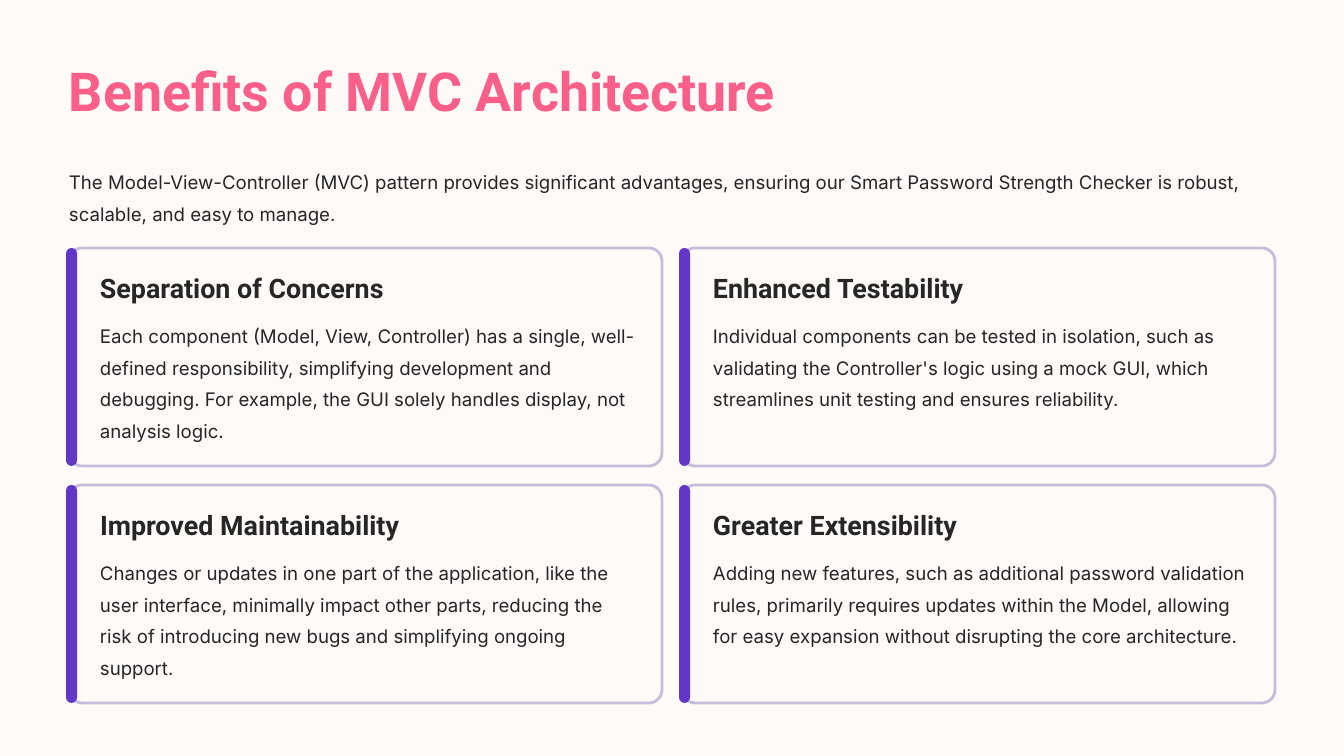
"""Build the slide on the benefits of MVC architecture."""
import pptx
import pptx.dml.color
import pptx.enum.shapes
import pptx.enum.text
import pptx.util

PX = 914400 / 84
CREAM = pptx.dml.color.RGBColor(0xFD, 0xFA, 0xF7)
PINK = pptx.dml.color.RGBColor(0xF9, 0x5F, 0x88)
INK = pptx.dml.color.RGBColor(0x27, 0x25, 0x25)
LILAC = pptx.dml.color.RGBColor(0xC6, 0xBD, 0xDA)
PURPLE = pptx.dml.color.RGBColor(0x62, 0x37, 0xC8)

CARD_LEFT, CARD_TOP = 69, 248
CARD_WIDTH, CARD_HEIGHT = 593, 218
COLUMN_STEP, ROW_STEP = 613, 237

INTRO = (
    "The Model-View-Controller (MVC) pattern provides significant advantages, "
    "ensuring our Smart Password Strength Checker is robust, scalable, and easy to manage."
)
BENEFITS = [
    ("Separation of Concerns", 304,
     "Each component (Model, View, Controller) has a single, well-defined responsibility, "
     "simplifying development and debugging. For example, the GUI solely handles display, "
     "not analysis logic."),
    ("Enhanced Testability", 268,
     "Individual components can be tested in isolation, such as validating the Controller's "
     "logic using a mock GUI, which streamlines unit testing and ensures reliability."),
    ("Improved Maintainability", 316,
     "Changes or updates in one part of the application, like the user interface, minimally "
     "impact other parts, reducing the risk of introducing new bugs and simplifying ongoing "
     "support."),
    ("Greater Extensibility", 262,
     "Adding new features, such as additional password validation rules, primarily requires "
     "updates within the Model, allowing for easy expansion without disrupting the core "
     "architecture."),
]


def px(*lengths):
    """Turn pixel lengths into EMU."""
    return [pptx.util.Emu(round(length * PX)) for length in lengths]


def write(frame, text, *, size=16, spacing=27, font="Inter", color=INK, bold=False, wrap=True):
    """Put one formatted paragraph into a text frame."""
    frame.margin_left = frame.margin_top = frame.margin_right = frame.margin_bottom = 0
    frame.auto_size = pptx.enum.text.MSO_AUTO_SIZE.NONE
    frame.vertical_anchor = pptx.enum.text.MSO_ANCHOR.TOP
    frame.word_wrap = wrap
    paragraph = frame.paragraphs[0]
    paragraph.alignment = pptx.enum.text.PP_ALIGN.LEFT
    paragraph.line_spacing = pptx.util.Pt(spacing)
    run = paragraph.add_run()
    run.text = text
    run.font.name = font
    run.font.size = pptx.util.Pt(size)
    run.font.bold = bold
    run.font.color.rgb = color


def add_text(slide, box, text, **style):
    """Add a text box at a pixel box."""
    write(slide.shapes.add_textbox(*px(*box)).text_frame, text, **style)


def add_panel(slide, box, rounding, fill, border=None):
    """Add a rounded rectangle with an optional border."""
    rounded = pptx.enum.shapes.MSO_SHAPE.ROUNDED_RECTANGLE
    panel = slide.shapes.add_shape(rounded, *px(*box))
    panel.shadow.inherit = False
    panel.adjustments[0] = rounding
    panel.fill.solid()
    panel.fill.fore_color.rgb = fill
    if border is None:
        panel.line.fill.background()
    else:
        panel.line.color.rgb = border
        panel.line.width = pptx.util.Pt(2.4)


def add_title(slide, text):
    """Place and fill the title placeholder."""
    title = slide.shapes.title
    title.left, title.top, title.width, title.height = px(69, 55, 742, 66)
    write(title.text_frame, text, size=46, spacing=58, font="Roboto",
          color=PINK, bold=True, wrap=False)


def add_benefit(slide, left, top, heading, heading_width, detail):
    """Add a card with an accent bar, a heading and a detail text."""
    add_panel(slide, (left, top, CARD_WIDTH, CARD_HEIGHT), 0.06, CREAM, LILAC)
    add_panel(slide, (left - 3, top, 11, CARD_HEIGHT), 0.5, PURPLE)
    add_text(slide, (left + 31, top + 22, heading_width, 34), heading,
             size=23, spacing=29, font="Roboto", bold=True, wrap=False)
    add_text(slide, (left + 31, top + 68, 539, 92), detail)


def main():
    """Build and save the slide."""
    deck = pptx.Presentation()
    deck.slide_width, deck.slide_height = px(1344, 756)
    slide = deck.slides.add_slide(deck.slide_layouts.get_by_name("Title Only"))
    slide.background.fill.solid()
    slide.background.fill.fore_color.rgb = CREAM
    add_title(slide, "Benefits of MVC Architecture")
    add_text(slide, (69, 162, 1205, 61), INTRO)
    for index, benefit in enumerate(BENEFITS):
        row, column = divmod(index, 2)
        add_benefit(slide, CARD_LEFT + column * COLUMN_STEP,
                    CARD_TOP + row * ROW_STEP, *benefit)
    deck.save("out.pptx")


if __name__ == "__main__":
    main()
